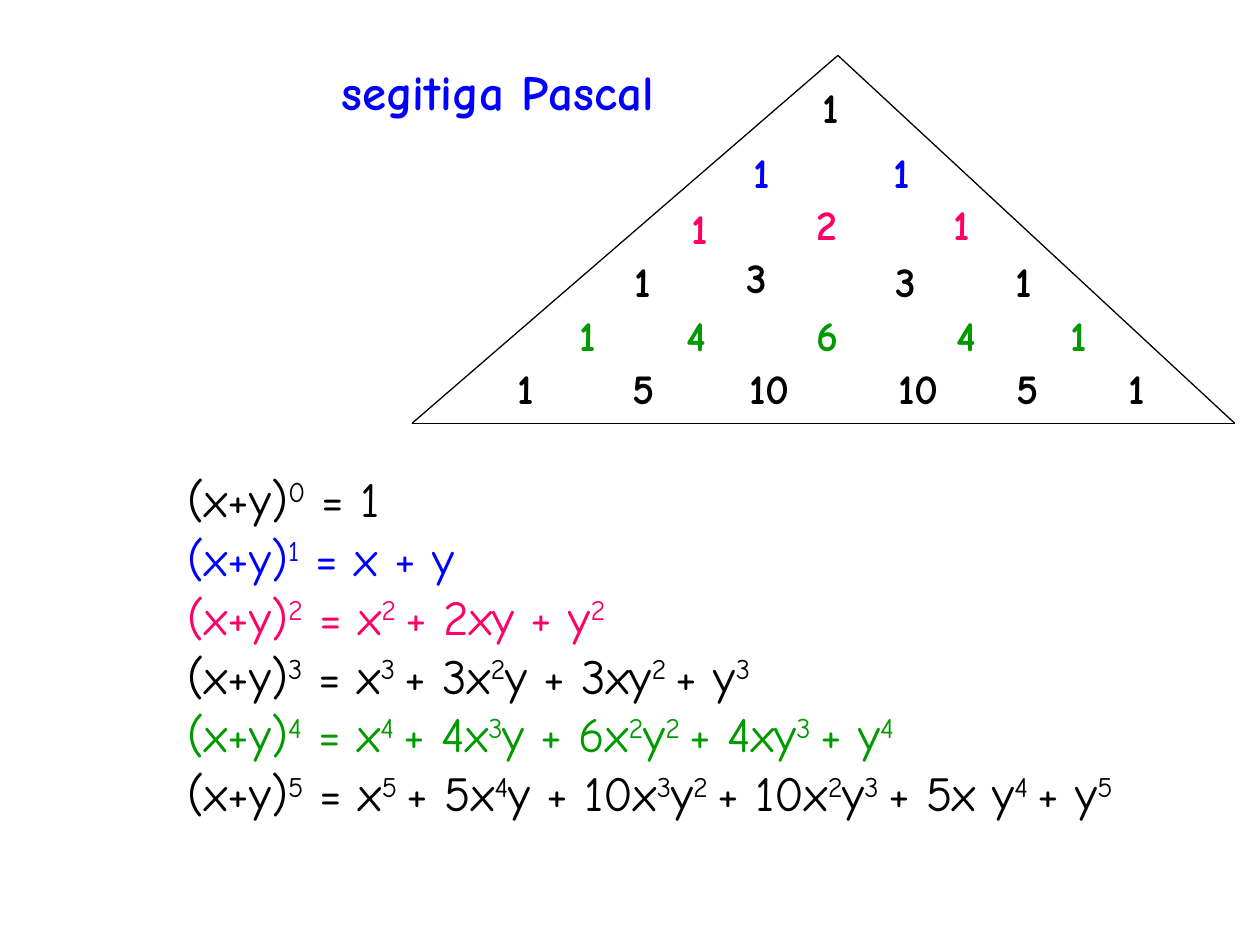
from math import comb
from lxml.etree import SubElement
from pptx import Presentation
from pptx.dml.color import RGBColor
from pptx.enum.shapes import MSO_CONNECTOR
from pptx.enum.text import MSO_AUTO_SIZE
from pptx.oxml.ns import qn
from pptx.util import Inches, Pt

BLACK = RGBColor(0x00, 0x00, 0x00)
BLUE = RGBColor(0x00, 0x00, 0xFF)
PINK = RGBColor(0xFF, 0x00, 0x66)
GREEN = RGBColor(0x00, 0x99, 0x00)
COLORS = [BLACK, BLUE, PINK, BLACK, GREEN, BLACK]

deck = Presentation()
deck.slide_width, deck.slide_height = Inches(10), Inches(7.5)
slide = deck.slides.add_slide(deck.slide_layouts[6])


def add_box(left, top, width, height):
    box = slide.shapes.add_textbox(Inches(left), Inches(top), Inches(width), Inches(height))
    frame = box.text_frame
    frame.word_wrap = False
    frame.auto_size = MSO_AUTO_SIZE.SHAPE_TO_FIT_TEXT
    return frame


def set_font(line, size, color, bold):
    line.font.name = "Comic Neue"
    line.font.size = Pt(size)
    line.font.bold = bold
    line.font.color.rgb = color


rows = [
    (0.6, [6.43]),
    (1.11, [5.88, 6.99]),
    (1.53, [5.39, 6.38, 7.47]),
    (1.98, [4.94, 5.83, 7.01, 7.96]),
    (2.41, [4.5, 5.35, 6.38, 7.49, 8.4]),
    (2.83, [4.01, 4.92, 5.85, 7.03, 7.97, 8.86]),
]
shifts = {(2, 0): 0.03, (3, 1): -0.03}
widths = {1: 0.33, 4: 0.35, 10: 0.52}
for n, (top, lefts) in enumerate(rows):
    for k, left in enumerate(lefts):
        value = comb(n, k)
        frame = add_box(left, top + shifts.get((n, k), 0), widths.get(value, 0.36), 0.5)
        line = frame.paragraphs[0]
        line.text = str(value)
        set_font(line, 24, COLORS[n], True)

powers = [
    "(x+y)|0| = 1",
    "(x+y)|1| = x + y",
    "(x+y)|2| = x|2 |+ 2xy + y|2",
    "(x+y)|3| = x|3 |+ 3x|2|y + 3xy|2 |+ y|3",
    "(x+y)|4| = x|4 |+ 4x|3|y + 6x|2|y|2 |+ 4xy|3 |+ y|4",
    "(x+y)|5| = x|5 |+ 5x|4|y + 10x|3|y|2 |+ 10x|2|y|3 |+ 5x y|4 |+ y|5",
]
frame = add_box(1.39, 3.67, 7.54, 2.9)
for n, power in enumerate(powers):
    line = frame.add_paragraph() if n else frame.paragraphs[0]
    set_font(line, 28, COLORS[n], False)
    for i, part in enumerate(power.split("|")):
        run = line.add_run()
        run.text = part
        if i % 2:
            run.font._element.set("baseline", "30000")

title = add_box(2.61, 0.44, 2.68, 0.57).paragraphs[0]
title.text = "segitiga Pascal"
set_font(title, 28, BLUE, True)

peaks = [(6.65, 0.44), (3.27, 3.36), (9.8, 3.36)]
for start, end in zip(peaks, peaks[1:] + peaks[:1]):
    x1, y1, x2, y2 = map(Inches, start + end)
    side = slide.shapes.add_connector(MSO_CONNECTOR.STRAIGHT, x1, y1, x2, y2)
    side.line.color.rgb = BLACK
    side.line.width = Pt(0.75)
    SubElement(side._element.spPr, qn("a:effectLst"))

deck.save("out.pptx")
